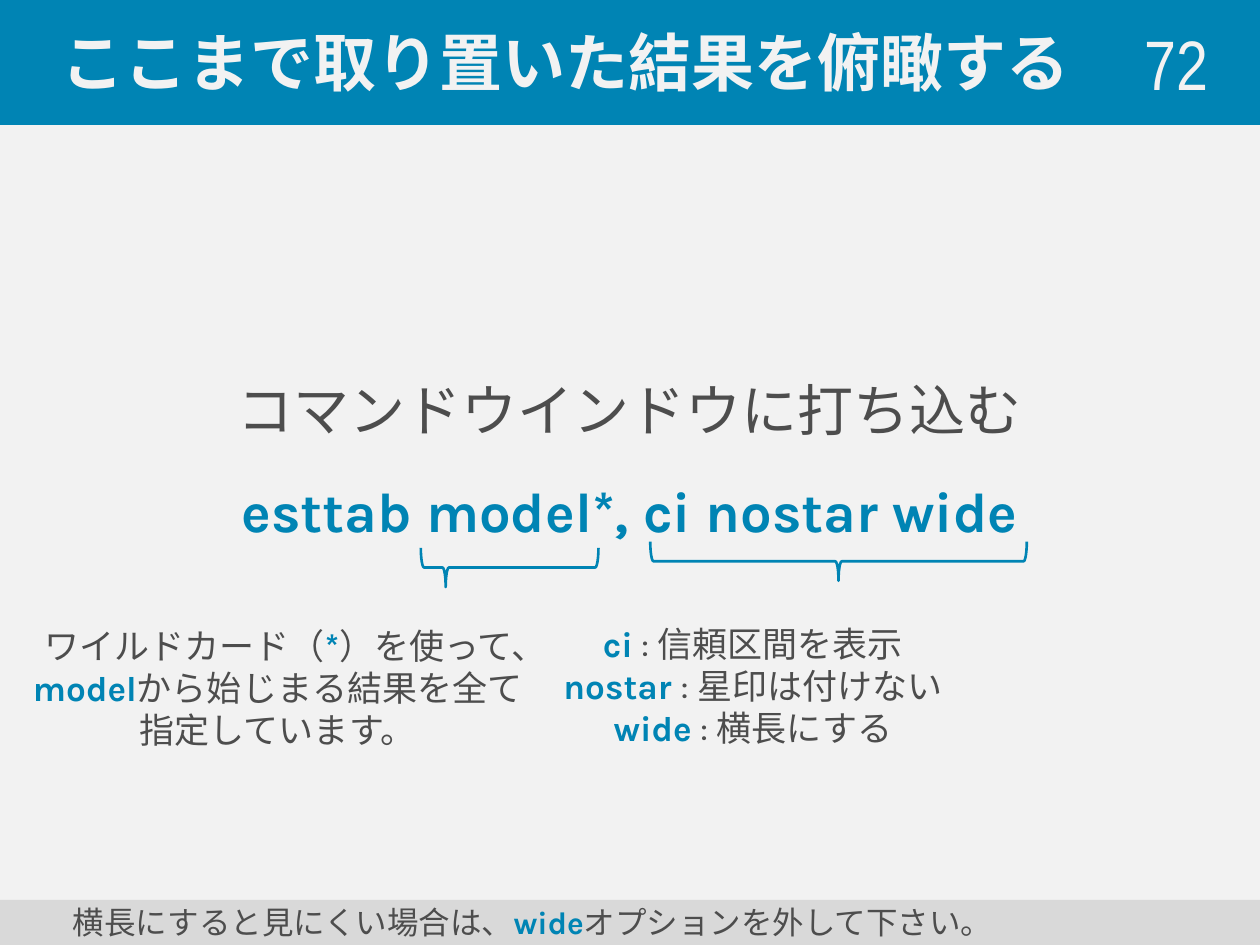
from pptx import Presentation
from pptx.dml.color import RGBColor
from pptx.enum.shapes import MSO_SHAPE as Preset
from pptx.enum.text import MSO_ANCHOR as Anchor, PP_ALIGN as Align
from pptx.util import Cm, Pt

BLUE, PALE, DARK, GREY = "0084B4", "F2F2F2", "4D4D4D", "D9D9D9"


def colour(hex_string):
    return RGBColor.from_string(hex_string)


def write(shape, paragraphs, size, align=Align.LEFT, anchor=Anchor.MIDDLE,
          font="Karla", indent=0, spacing=None):
    """Fill a shape with paragraphs, each a list of (text, colour, bold) runs."""
    frame = shape.text_frame
    frame_format = {"word_wrap": True, "vertical_anchor": anchor,
                    "margin_left": Cm(0.25 + indent)}
    for name, value in frame_format.items():
        setattr(frame, name, value)
    for index, runs in enumerate(paragraphs):
        paragraph = frame.add_paragraph() if index else frame.paragraphs[0]
        for name, value in {"alignment": align, "line_spacing": spacing}.items():
            setattr(paragraph, name, value)
        for text, hex_string, bold in runs:
            run = paragraph.add_run()
            run.text = text
            run.font.color.rgb = colour(hex_string)
            for name, value in {"name": font, "size": Pt(size), "bold": bold}.items():
                setattr(run.font, name, value)


presentation = Presentation()
presentation.slide_width, presentation.slide_height = Cm(25.4), Cm(19.05)
slide = presentation.slides.add_slide(presentation.slide_layouts[6])
slide.background.fill.solid()
slide.background.fill.fore_color.rgb = colour(PALE)

# Title bar and footer bar
bars = [
    (0, 2.49, BLUE, [("ここまで取り置いた結果を俯瞰する", PALE, True)],
     {"size": 36, "font": "Arial", "indent": 0.99}),
    (18.14, 0.91, GREY, [("横長にすると見にくい場合は、", DARK, False),
                         ("wide", BLUE, True),
                         ("オプションを外して下さい。", DARK, False)],
     {"size": 18, "indent": 1.22}),
]
for top, height, fill, runs, text_format in bars:
    bar = slide.shapes.add_shape(Preset.RECTANGLE, 0, Cm(top), Cm(25.4), Cm(height))
    bar.shadow.inherit = False
    bar.fill.solid()
    bar.fill.fore_color.rgb = colour(fill)
    if fill == BLUE:
        bar.line.color.rgb = colour(BLUE)
        bar.line.width = Pt(1.5)
    else:
        bar.line.fill.background()
    write(bar, [runs], **text_format)

# Page number
number = slide.shapes.add_textbox(Cm(19.71), Cm(0.48), Cm(4.9), Cm(1.55))
write(number, [[("72", PALE, False)]], 40, Align.RIGHT, font="Arial Narrow")

# Command to type
command = slide.shapes.add_textbox(Cm(1.27), Cm(3.12), Cm(22.86), Cm(11.61))
write(command, [[("コマンドウインドウに打ち込む", DARK, False)],
                [("esttab model*, ci nostar wide", BLUE, True)]],
      32, Align.CENTER, spacing=1.5)

# Braces under the command, each grouped with its explanation
explanations = [
    ((16.51, 7.52, 7.59), (0.083, 0.5), (9.91, 12.42),
     [[("ci", BLUE, True), (" : 信頼区間を表示", DARK, False)],
      [("nostar ", BLUE, True), (": 星印は付けない", DARK, False)],
      [("wide", BLUE, True), (" : 横長にする", DARK, False)]]),
    ((9.88, 9.65, 3.58), (0.083, 0.14), (0.33, 12.47),
     [[("ワイルドカード（", DARK, False), ("*", BLUE, True),
       ("）を使って、", DARK, False), ("model", BLUE, True),
       ("から始じまる結果を全て指定しています。", DARK, False)]]),
]
for (left, top, length), adjustments, (text_left, text_top), paragraphs in explanations:
    group = slide.shapes.add_group_shape()
    brace = group.shapes.add_shape(Preset.LEFT_BRACE, Cm(left), Cm(top), Cm(0.79), Cm(length))
    brace.rotation = 270
    brace.shadow.inherit = False
    brace.fill.background()
    brace.line.color.rgb = colour(BLUE)
    brace.line.width = Pt(1.5)
    for index, value in enumerate(adjustments):
        brace.adjustments[index] = value
    explanation = group.shapes.add_textbox(Cm(text_left), Cm(text_top), Cm(10.54), Cm(2.82))
    write(explanation, paragraphs, 20, Align.CENTER, Anchor.TOP)

presentation.save("out.pptx")
